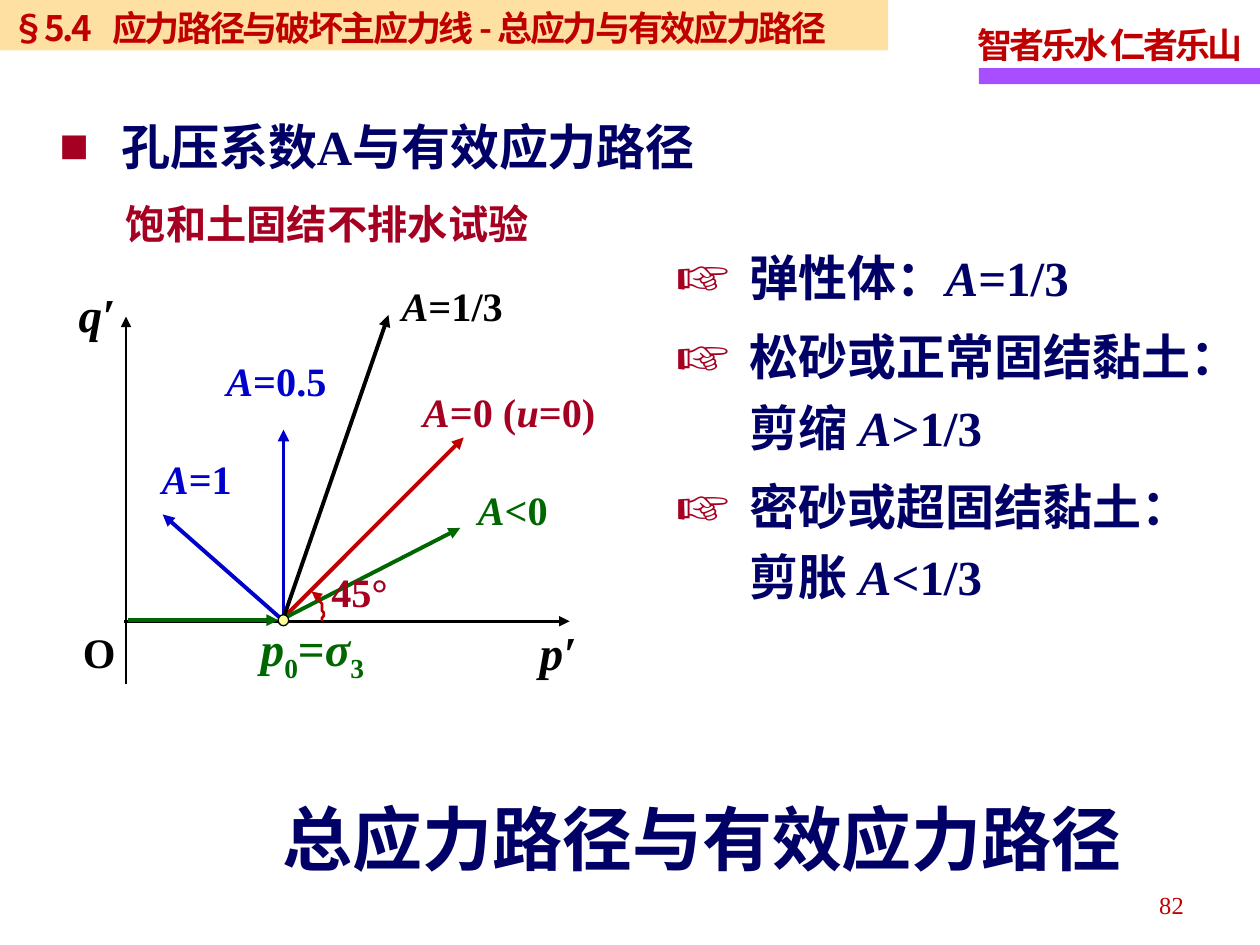
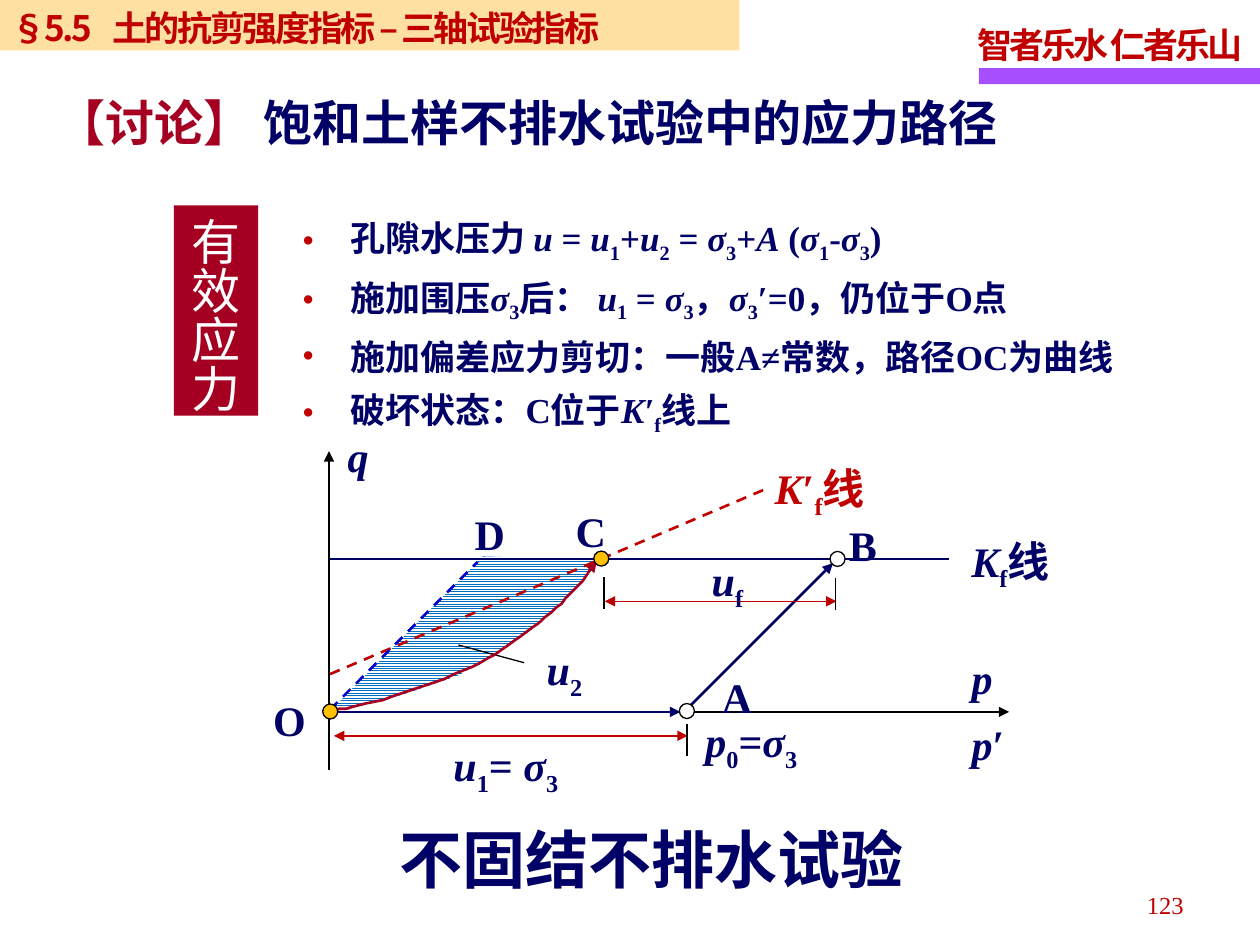
from dataclasses import dataclass
from lxml.etree import SubElement
from pptx import Presentation
from pptx.dml.color import RGBColor
from pptx.enum.dml import MSO_LINE, MSO_PATTERN
from pptx.enum.shapes import MSO_CONNECTOR, MSO_SHAPE
from pptx.enum.text import MSO_ANCHOR, PP_ALIGN
from pptx.oxml.ns import qn
from pptx.util import Pt


@dataclass(frozen=True)
class Theme:
    latin: str = "Times New Roman"
    hans: str = "Noto Sans CJK SC"
    navy: str = "000066"
    wine: str = "A50021"
    red: str = "C00000"
    blue: str = "0000CC"
    green: str = "006600"
    black: str = "000000"
    white: str = "FFFFFF"
    sand: str = "FFCC66"
    violet: str = "A74FFF"
    lemon: str = "FFFF99"
    gold: str = "FFC000"
    hatch: str = "0070C0"
    page: int = 14
    small: int = 20
    label: int = 23
    mark: int = 24
    axis: int = 27
    head: int = 28
    close: int = 36
    large: int = 40


T = Theme()
MID = MSO_ANCHOR.MIDDLE
MATH = (9.4, 4.3)


def write(slide, text, x, y, w, h, size=T.mark, color=T.navy, font=T.latin, bold=True,
          align=PP_ALIGN.LEFT, anchor=MSO_ANCHOR.TOP, pad=(7.2, 3.6), wrap=True, lead=1.0,
          gap=0, track=0, fill=None, bullet=None, dot=T.wine, scale=100, hang=0, tab=0):
    place = [Pt(v) for v in (x, y, w, h)]
    if fill:
        box = slide.shapes.add_shape(MSO_SHAPE.RECTANGLE, *place)
        box.shadow.inherit = False
        box.fill.solid()
        box.fill.fore_color.rgb = RGBColor.from_string(fill)
        box.line.fill.background()
    else:
        box = slide.shapes.add_textbox(*place)
    frame = box.text_frame
    frame.word_wrap = wrap
    frame.vertical_anchor = anchor
    frame.margin_left = frame.margin_right = Pt(pad[0])
    frame.margin_top = frame.margin_bottom = Pt(pad[1])
    tints = color if isinstance(color, tuple) else (color,)
    for n, row in enumerate(text.split("\n")):
        para = frame.add_paragraph() if n else frame.paragraphs[0]
        para.alignment = align
        para.line_spacing = lead
        para.space_before = Pt(gap if n else 0)
        para.space_after = Pt(0)
        props = para._p.get_or_add_pPr()
        if bullet:
            props.set("marL", str(Pt(hang)))
            props.set("indent", str(-Pt(hang)))
            SubElement(SubElement(props, qn("a:buClr")), qn("a:srgbClr")).set("val", dot)
            SubElement(props, qn("a:buSzPct")).set("val", str(scale * 1000))
            SubElement(props, qn("a:buFont")).set("typeface", font)
            SubElement(props, qn("a:buChar")).set("char", bullet)
        if tab:
            stop = SubElement(SubElement(props, qn("a:tabLst")), qn("a:tab"))
            stop.set("pos", str(Pt(tab)))
            stop.set("algn", "l")
        for tint, part in zip(tints, row.split("|")):
            for i, piece in enumerate(part.split("*")):
                for j, bit in enumerate(piece.split("_")):
                    if not bit:
                        continue
                    run = para.add_run()
                    run.text = bit
                    run.font.size = Pt(size)
                    run.font.bold = bold
                    run.font.italic = i % 2 == 1
                    run.font.name = font
                    run.font.color.rgb = RGBColor.from_string(tint)
                    form = run._r.get_or_add_rPr()
                    SubElement(form, qn("a:ea")).set("typeface", T.hans)
                    if j % 2:
                        form.set("baseline", "-25000")
                    if track:
                        form.set("spc", str(round(track * 100)))
    return box


def draw(slide, pts, color=T.black, width=1.5, head=False, tail=False, dash=False):
    if len(pts) == 2:
        ends = [Pt(v) for point in pts for v in point]
        item = slide.shapes.add_connector(MSO_CONNECTOR.STRAIGHT, *ends)
        SubElement(item._element.spPr, qn("a:effectLst"))
    else:
        trail = []
        for k in range(0, len(pts) - 1, 3):
            for t in (s / 8 for s in range(1, 9)):
                mix = ((1 - t) ** 3, 3 * t * (1 - t) ** 2, 3 * t * t * (1 - t), t ** 3)
                trail.append(tuple(sum(m * p[d] for m, p in zip(mix, pts[k:k + 4]))
                                   for d in (0, 1)))
        path = slide.shapes.build_freeform(*pts[0], scale=Pt(1))
        path.add_line_segments(trail, close=False)
        item = path.convert_to_shape()
        item.shadow.inherit = False
        item.fill.background()
    item.line.color.rgb = RGBColor.from_string(color)
    item.line.width = Pt(width)
    if dash:
        item.line.dash_style = MSO_LINE.DASH
    for flag, tag in ((head, "a:headEnd"), (tail, "a:tailEnd")):
        if flag:
            SubElement(item.line._get_or_add_ln(), qn(tag)).set("type", "triangle")


deck = Presentation()
deck.slide_width, deck.slide_height = Pt(720), Pt(540)
pages = []
for title, span, page in (
        ("§5.4\t应力路径与破坏主应力线 - 总应力与有效应力路径", 508, "82"),
        ("§5.5\t土的抗剪强度指标 – 三轴试验指标", 423, "123")):
    slide = deck.slides.add_slide(deck.slide_layouts[6])
    write(slide, "", 559.3, 38.9, 160.7, 9.2, fill=T.violet)
    write(slide, "智者乐水 仁者乐山", 551.5, 6.5, 170, 35, size=T.small, color=T.red,
          wrap=False, track=-1.7, lead=1.15)
    write(slide, page, 515.5, 502.5, 168, 29, size=T.page, color=T.red, bold=False,
          align=PP_ALIGN.RIGHT, lead=1.15)
    band = write(slide, title, -0.5, 0, span, 28.8, size=T.small, color=T.red, font=T.hans,
                 track=-1.4, fill=T.sand, tab=57.5)
    tone = band._element.spPr.find(".//" + qn("a:srgbClr"))
    SubElement(tone, qn("a:alpha")).set("val", "60000")
    pages.append(slide)
first, second = pages

write(first, "孔压系数A与有效应力路径", 34, 60, 398, 41, size=T.head, pad=(0, 0), lead=1.2,
      bullet="■", hang=35.3)
write(first, "饱和土固结不排水试验", 64, 109.5, 280, 36, size=T.label, color=T.wine, pad=(8, 4.3))
write(first, "弹性体：*A*=1/3\n松砂或正常固结黏土：剪缩 *A*>1/3\n密砂或超固结黏土：剪胀 *A*<1/3",
      379.5, 131, 315.5, 222, size=T.head, lead=1.2, gap=5, bullet="☞", scale=135, hang=42)

rays = (
    ("*A*=0 (*u*=0)", T.red, T.wine, (162, 353), (265, 250), (231, 217, 120)),
    ("*A*<0", T.green, T.green, (159, 355), (263, 301.7), (263.5, 273, 59)),
    ("*A*=0.5", T.blue, T.blue, (162, 353), (162, 245.5), (119.5, 199.5, 77)),
    ("*A*=1", T.blue, T.blue, (160, 353), (93, 294), (83, 255.5, 59)),
    ("*A*=1/3", T.black, T.black, (162, 353), (222, 180), (220, 156.5, 77)))
for name, tint, ink, start, end, spot in rays:
    draw(first, (start, end), tint, 2.25, tail=True)
    write(first, name, *spot, 37, size=T.label, color=ink, align=PP_ALIGN.CENTER, pad=MATH,
          wrap=False)

for start, end in (((72, 391), (72, 181)), ((71, 355), (325.5, 355))):
    draw(first, (start, end), tail=True)
for name, x, y, size in (("*p′*", 299, 352, T.axis), ("O", 38, 354, T.mark),
                         ("*q′*", 35.5, 158.5, T.axis)):
    write(first, name, x, y, 58, 42, size=size, color=T.black, pad=MATH)
write(first, "*p*_0_=*σ*_3_", 141, 349.5, 81, 40, size=T.axis, color=T.green, pad=(8, 4.3),
      wrap=False)
draw(first, ((73, 354.4), (159, 354.4)), T.green, 2.25, tail=True)
write(first, "45°", 179.5, 320, 52, 37, size=T.label, color=T.wine, align=PP_ALIGN.CENTER,
      pad=MATH, wrap=False)
draw(first, ((184.3, 355), (184.3, 353), (185, 351.5), (184.3, 349), (184.3, 347.5),
             (184.3, 345.5), (183, 343.5), (182, 341.5), (180, 339.5), (178.5, 337.5)),
     T.red, tail=True)
write(first, "总应力路径与有效应力路径", 161.5, 454.5, 493, 48, size=T.large, font=T.hans,
      pad=(0, 0))

write(second, "【讨论】 |饱和土样不排水试验中的应力路径", 32.5, 52.5, 552, 34, size=T.head,
      color=(T.wine, T.navy), font=T.hans, pad=(0, 0), anchor=MID)
sign = write(second, "有效应力", 99.4, 117.4, 48.2, 120.2, size=T.head, color=T.white,
             font=T.hans, bold=False, wrap=False, lead=1.15, fill=T.wine)
sign.text_frame._txBody.bodyPr.set("vert", "eaVert")
write(second, "孔隙水压力 *u* = *u*_1_+*u*_2_ = *σ*_3_+*A* (*σ*_1_-*σ*_3_)\n"
      "施加围压*σ*_3_后： *u*_1_ = *σ*_3_，*σ*_3_′=0，仍位于O点\n"
      "施加偏差应力剪切：一般A≠常数，路径OC为曲线\n破坏状态：C位于*K′*_f_线上",
      165.6, 117.5, 517, 126, size=T.small, lead=1.1, gap=4, bullet="•", dot=T.red, hang=27.4)

path = second.shapes.build_freeform(188, 406.8, scale=Pt(1))
path.add_line_segments(((275.8, 318.5), (342.7, 319.5), (330.5, 335.5), (309, 355),
                        (286.5, 372), (262, 386), (229.7, 396.7), (206, 403)))
zone = path.convert_to_shape()
zone.shadow.inherit = False
zone.line.fill.background()
zone.fill.patterned()
zone.fill.pattern = MSO_PATTERN.LIGHT_HORIZONTAL
zone.fill.fore_color.rgb = RGBColor.from_string(T.hatch)
zone.fill.back_color.rgb = RGBColor.from_string(T.white)

draw(second, ((299.5, 378.7), (262, 368.6)), width=0.75)
draw(second, ((187.2, 406.8), (576.7, 406.8)), tail=True)
draw(second, ((188, 440), (188, 257.8)), tail=True)
draw(second, ((188.6, 385.2), (436.3, 280)), T.red, dash=True)
draw(second, ((188.6, 319.4), (542.2, 319.4)), T.navy)
draw(second, ((188.6, 406), (195.8, 404.9), (204.5, 403.9), (218.9, 399.6), (231.8, 396),
              (252, 388.8), (265, 383), (278.6, 377.3), (288, 370.8), (297.4, 363.6),
              (307.4, 357.1), (316, 349.2), (323.3, 342), (330.5, 334.8), (335.5, 328.3),
              (341.3, 321.1)), T.wine, tail=True)
draw(second, ((391.7, 406), (476, 321.8)), T.navy, tail=True)
draw(second, ((188.6, 405.5), (273, 321)), T.blue, dash=True)
draw(second, ((188.6, 406.8), (388.8, 406.8)), T.navy, tail=True)
for left, right, y in ((345.6, 478, 343.6), (190.8, 393, 420.5)):
    draw(second, ((right, y), (left, y)), T.red, 0.75, head=True, tail=True)
for x, y in ((345, 329.8), (477.5, 330.5), (392.5, 413.5)):
    draw(second, ((x, y), (x, y + 18.3)), width=1)

for slide, x, y, w, h, tint in (
        (first, 159, 351.3, 6, 6.3, T.lemon), (second, 339.3, 314.9, 8.6, 8.6, T.gold),
        (second, 474.3, 315.1, 8.6, 8.6, T.white), (second, 388.2, 402, 8.6, 8.6, T.white),
        (second, 184.4, 402.3, 8.6, 8.6, T.gold)):
    node = slide.shapes.add_shape(MSO_SHAPE.OVAL, *[Pt(v) for v in (x, y, w, h)])
    node.shadow.inherit = False
    node.fill.solid()
    node.fill.fore_color.rgb = RGBColor.from_string(tint)
    node.line.color.rgb = RGBColor.from_string(T.black)
    node.line.width = Pt(0.75)

for name, x, y, w, tint in (
        ("*u*_2_", 305.3, 359.5, 40, T.navy), ("*q*", 191.5, 238, 38, T.navy),
        ("O", 149, 389, 33, T.navy), ("*K*′_f_线", 435.6, 256, 71.3, T.red),
        ("*p*_0_=*σ*_3_", 396, 400.5, 71, T.navy), ("*K*_f_线", 548, 297.5, 66.2, T.navy),
        ("C", 321.8, 281, 32, T.navy), ("B", 478, 289, 31, T.navy),
        ("A", 405.4, 376, 32, T.navy), ("D", 264.2, 283, 32, T.navy),
        ("*u*_f_", 399.6, 308.5, 40, T.navy), ("*u*_1_= *σ*_3_", 252, 414.3, 101, T.navy)):
    write(second, name, x, y, w, 41, color=tint, lead=1.15)
write(second, "*p*\n*p*′", 549.4, 361.5, 43, 78, pad=(5.8, 2.9), lead=1.3)
write(second, "不固结不排水试验", 228.3, 468.7, 354, 43, size=T.close, font=T.hans, pad=(0, 0),
      anchor=MID)

deck.save("out.pptx")
